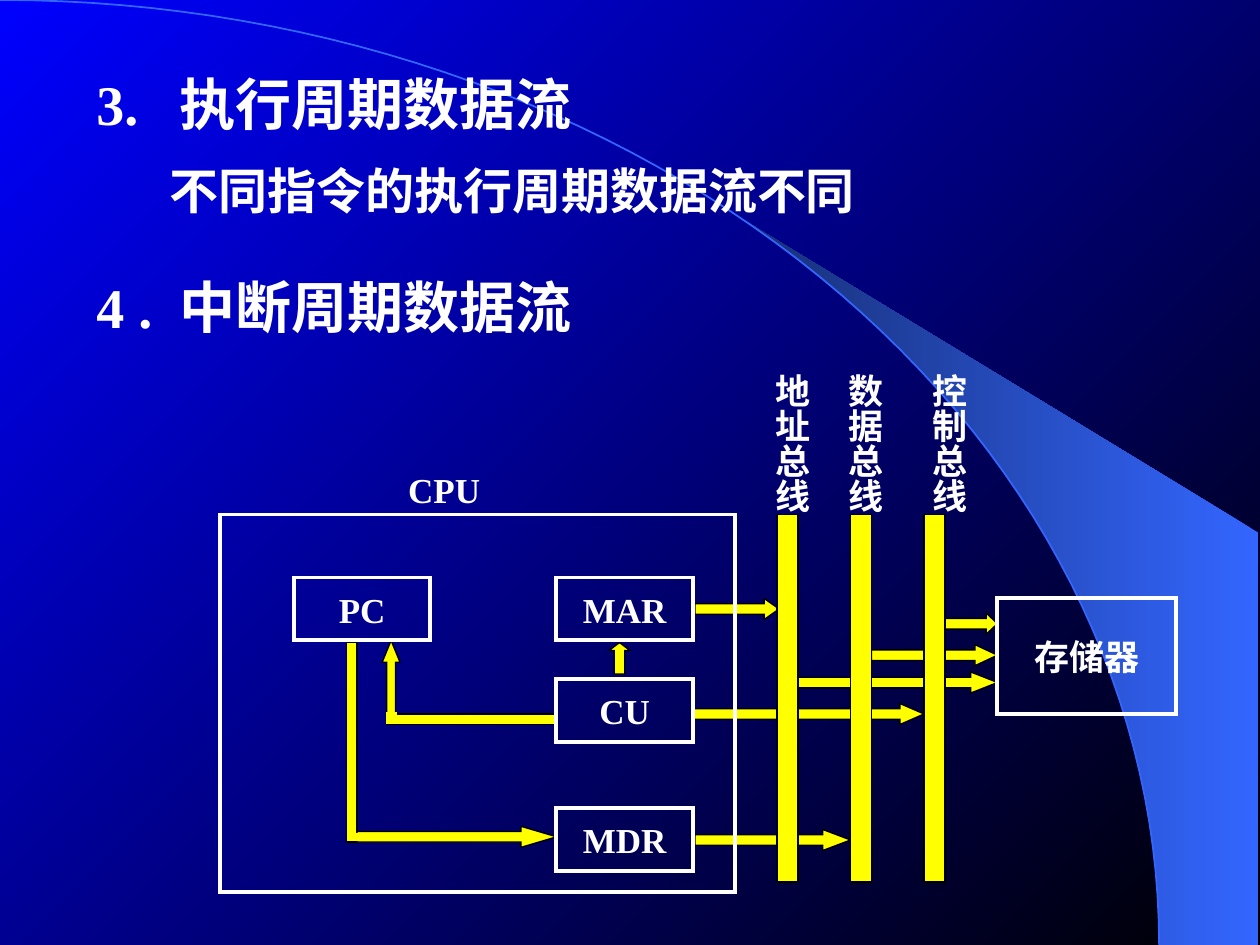
from dataclasses import dataclass
from math import asin, cos, pi, sin

from lxml import etree
from pptx import Presentation
from pptx.dml.color import RGBColor
from pptx.enum.shapes import MSO_SHAPE
from pptx.enum.text import MSO_ANCHOR, MSO_AUTO_SIZE, PP_ALIGN
from pptx.oxml.ns import qn
from pptx.util import Inches, Pt

RECT, RIGHT, UP = MSO_SHAPE.RECTANGLE, MSO_SHAPE.RIGHT_ARROW, MSO_SHAPE.UP_ARROW
MIDDLE, CENTER = MSO_ANCHOR.MIDDLE, PP_ALIGN.CENTER
GROW = MSO_AUTO_SIZE.SHAPE_TO_FIT_TEXT

COLORS = {"text": "FFFFFF", "signal": "FFFF00", "edge": "000000", "night": "000000",
          "sky": "0000FF", "arc": "3366FF", "arc_dark": "172F75"}
W, H = Inches(10), Inches(7.5)
COLS, ROWS = 120, 90
FONT = {"name": "Times New Roman", "bold": True}
LABEL_SIZE = 20
ARC_W, ARC_H = 0.92, 1.0  # quarter ellipse, as shares of the slide
SWOOSH_START = 0.589      # share of the width where the swoosh leaves the arc


@dataclass
class Block:
    """A yellow bar or block arrow, in grid columns and rows."""
    x: float
    y: float
    w: float
    h: float
    kind: int = RECT
    head: float = 0
    line: str = "edge"


@dataclass
class Box:
    x: float
    y: float
    w: float
    h: float
    text: str = ""


@dataclass
class Label:
    x: float
    y: float
    w: float
    h: float
    text: str
    size: int = LABEL_SIZE
    wrap: bool = False
    vertical: bool = False
    tab: float = 0


SIGNALS = [
    Block(66.2, 57, 8, 2, RIGHT, 0.71),                # MAR to address bus
    Block(33, 61.2, 1, 19),                            # PC down to MDR
    Block(34, 78.7, 19, 2, RIGHT, 1.69),
    Block(33.6, 79.4, 0.8, 0.6, line="signal"),
    Block(66.2, 79, 14.8, 2, RIGHT, 1.32),             # MDR to data bus
    Block(83, 61.4, 12, 2, RIGHT, 1.07),               # data bus to memory
    Block(66, 67, 22, 2, RIGHT, 1.15),                 # CU to control bus
    Block(76, 64, 19, 2, RIGHT, 1.27),                 # address bus to memory
    Block(75.5, 64.6, 1, 0.6, line="signal"),
    Block(36.4, 61, 1.7, 8, UP, 1.22),                 # CU to PC
    Block(37.3, 68, 15.6, 1),
    Block(36.8, 67.9, 1, 1, line="signal"),
    Block(58, 61.2, 2, 3, UP, 0.38),                   # CU to MAR
    Block(89, 58.4, 6, 2, RIGHT, 0.53),                # control bus to memory
]
BUSES = [Block(74 + 7 * i, 49, 2, 35) for i in range(3)]
BOXES = [
    Box(21, 49, 49, 36),
    Box(28, 55, 13, 6, "PC"),
    Box(53, 55, 13, 6, "MAR"),
    Box(53, 64.7, 13, 6, "CU"),
    Box(53, 77, 13, 6, "MDR"),
    Box(95, 57, 17, 11, "存储器"),
]
LABELS = [
    Label(8, 6, 75, 7.7, "3.\t执行周期数据流", 32, wrap=True, tab=7.95),
    Label(15, 14.7, 70, 6.9, "不同指令的执行周期数据流不同", 28, wrap=True),
    Label(8, 25.4, 75, 7.7, "4 .\t中断周期数据流", 32, wrap=True, tab=7.95),
    Label(37.7, 44, 9.6, 5.3, "CPU"),
    *(Label(x, 34.4, 6.4, 14.6, text, vertical=True) for x, text in
      [(71.6, "地址总线"), (78.6, "数据总线"), (86.6, "控制总线")]),
]


def rgb(name: str) -> RGBColor:
    return RGBColor.from_string(COLORS[name])


def frame(item) -> tuple:
    """Position and size of a grid item in EMU."""
    col, row = W / COLS, H / ROWS
    return tuple(round(v) for v in (item.x * col, item.y * row, item.w * col, item.h * row))


def set_gradient(fill, start: str, end: str, angle: float) -> None:
    fill.gradient()
    fill.gradient_angle = angle
    for stop, name in zip(fill.gradient_stops, (start, end)):
        stop.color.rgb = rgb(name)


def set_line(sp, name: str, width: float) -> None:
    """Solid outline with sharp corners and no shadow."""
    sp.shadow.inherit = False
    sp.line.color.rgb = rgb(name)
    sp.line.width = Pt(width)
    etree.SubElement(sp.line._get_or_add_ln(), qn("a:miter"), lim="800000")


def write(p, text: str, size: int) -> None:
    r = p.add_run()
    r.text = text
    for key, value in {**FONT, "size": Pt(size)}.items():
        setattr(r.font, key, value)
    r.font.color.rgb = rgb("text")


def arc_points(start: float, steps: int = 60) -> list:
    """Points of the quarter ellipse from an angle to its lower right end."""
    angles = [start + (pi / 2 - start) * i / steps for i in range(steps + 1)]
    return [(W * ARC_W * sin(t), H * ARC_H * (1 - cos(t))) for t in angles]


def draw_freeform(s, points: list, close: bool):
    builder = s.shapes.build_freeform(*map(round, points[0]))
    builder.add_line_segments([tuple(map(round, pt)) for pt in points[1:]], close=close)
    sp = builder.convert_to_shape()
    sp.shadow.inherit = False
    return sp


def draw_backdrop(s) -> None:
    set_gradient(s.background.fill, "night", "sky", 135)
    corner = [(W * 0.999, H), (W * 0.999, H * 0.564)]
    swoosh = draw_freeform(s, arc_points(asin(SWOOSH_START / ARC_W)) + corner, True)
    set_gradient(swoosh.fill, "arc", "arc_dark", 180)
    swoosh.line.fill.background()
    arc = draw_freeform(s, arc_points(0), False)
    arc.fill.background()
    set_line(arc, "arc", 1)


def draw_block(s, block: Block) -> None:
    sp = s.shapes.add_shape(block.kind, *frame(block))
    if block.head:
        sp.adjustments[0], sp.adjustments[1] = 0.5, block.head
    sp.fill.solid()
    sp.fill.fore_color.rgb = rgb("signal")
    set_line(sp, block.line, 0.75)


def draw_box(s, box: Box) -> None:
    sp = s.shapes.add_shape(RECT, *frame(box))
    sp.fill.background()
    set_line(sp, "text", 2.25)
    if box.text:
        tf = sp.text_frame
        tf.word_wrap, tf.vertical_anchor = False, MIDDLE
        tf.paragraphs[0].alignment = CENTER
        write(tf.paragraphs[0], box.text, LABEL_SIZE)


def draw_label(s, label: Label) -> None:
    tf = s.shapes.add_textbox(*frame(label)).text_frame
    tf.word_wrap, tf.auto_size = label.wrap, GROW
    p = tf.paragraphs[0]
    if label.vertical:
        tf.margin_left = tf.margin_right = Inches(0.05)
        tf.margin_top = tf.margin_bottom = Inches(0.1)
        tf._txBody.bodyPr.set("vert", "eaVert")
    if label.tab:
        tabs = etree.SubElement(p._p.get_or_add_pPr(), qn("a:tabLst"))
        etree.SubElement(tabs, qn("a:tab"), pos=str(round(label.tab * W / COLS)), algn="l")
    write(p, label.text, label.size)


def main() -> None:
    prs = Presentation()
    prs.slide_width, prs.slide_height = W, H
    s = prs.slides.add_slide(prs.slide_layouts[6])
    draw_backdrop(s)
    for block in SIGNALS + BUSES:
        draw_block(s, block)
    for box in BOXES:
        draw_box(s, box)
    for label in LABELS:
        draw_label(s, label)
    prs.save("out.pptx")


if __name__ == "__main__":
    main()
